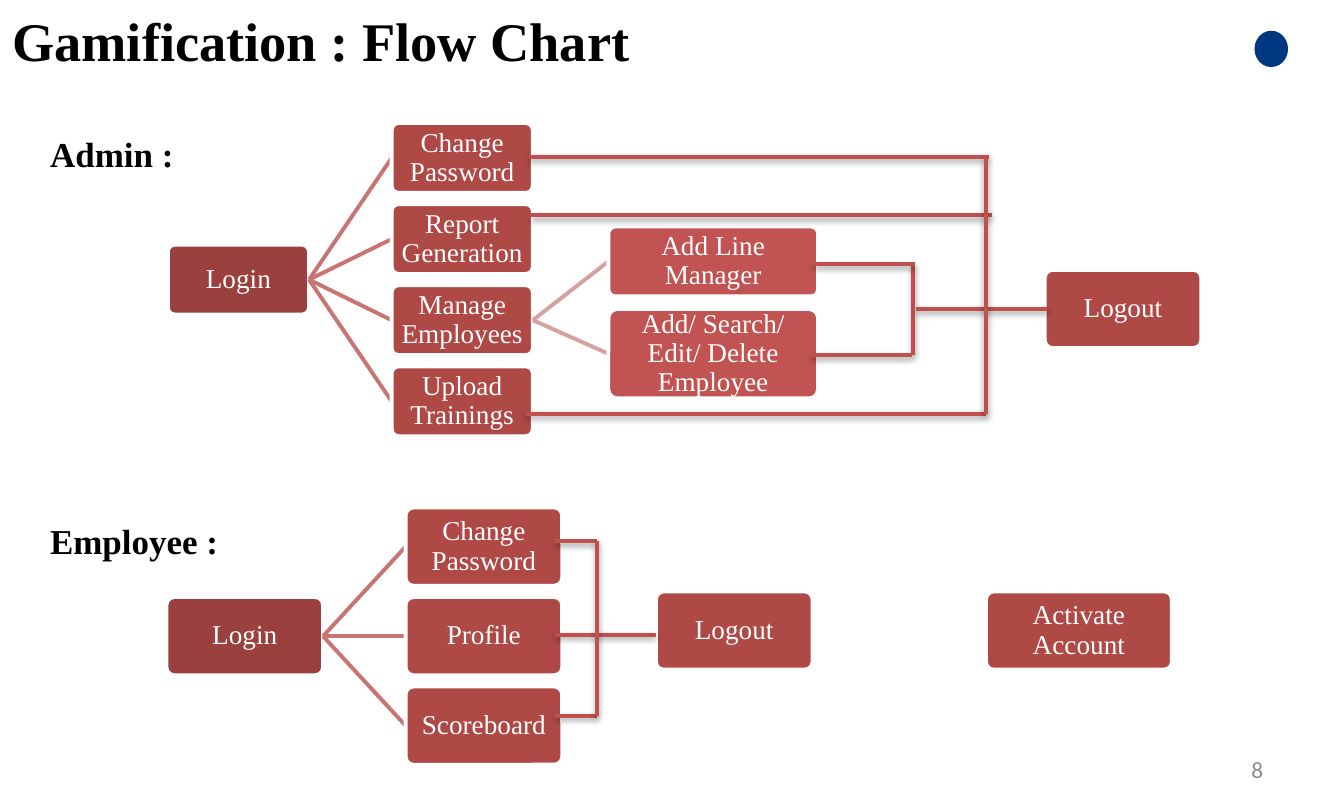
from lxml import etree
from pptx import Presentation
from pptx.dml.color import RGBColor
from pptx.enum.shapes import MSO_CONNECTOR, MSO_SHAPE
from pptx.enum.text import MSO_ANCHOR, PP_ALIGN
from pptx.oxml.ns import qn
from pptx.util import Pt

PX = 9144  # 100 px to the inch
STRAIGHT = MSO_CONNECTOR.STRAIGHT
ROUNDED, OVAL = MSO_SHAPE.ROUNDED_RECTANGLE, MSO_SHAPE.OVAL
MIDDLE, TOP = MSO_ANCHOR.MIDDLE, MSO_ANCHOR.TOP
LEFT, CENTER, RIGHT = PP_ALIGN.LEFT, PP_ALIGN.CENTER, PP_ALIGN.RIGHT
SERIF, SANS = "Times New Roman", "Calibri"
COLORS = {
    "start": "9A403E", "step": "AE4946", "substep": "C15452",
    "step branch": "C77472", "substep branch": "D5A1A0",
    "route": "C0504D", "emblem": "003781", "shadow": "000000",
    "white": "FFFFFF", "black": "000000", "gray": "8C8C8C",
}


def write(frame, text, size, color, align, anchor, font=SERIF, bold=False):
    frame.word_wrap = True
    frame.vertical_anchor = anchor
    paragraph = frame.paragraphs[0]
    paragraph.alignment = align
    run = paragraph.add_run()
    run.text = text
    run.font.name, run.font.size, run.font.bold = font, Pt(size), bold
    run.font.color.rgb = RGBColor.from_string(COLORS[color])
    return paragraph


def draw_line(x1, y1, x2, y2, color, shadow=False):
    line = slide.shapes.add_connector(STRAIGHT, x1 * PX, y1 * PX, x2 * PX, y2 * PX)
    line.line.color.rgb = RGBColor.from_string(COLORS[color])
    line.line.width = Pt(2)
    effects = etree.SubElement(line._element.spPr, qn("a:effectLst"))
    if shadow:
        outer = etree.SubElement(effects, qn("a:outerShdw"), blurRad="40000",
                                 dist="20000", dir="5400000", rotWithShape="0")
        tint = etree.SubElement(outer, qn("a:srgbClr"), val=COLORS["shadow"])
        etree.SubElement(tint, qn("a:alpha"), val="38000")


prs = Presentation()
prs.slide_width, prs.slide_height = 961 * PX, 575 * PX
slide = prs.slides.add_slide(prs.slide_layouts[6])

# Plain emblem in the corner
emblem = slide.shapes.add_shape(OVAL, 897 * PX, 22 * PX, 24 * PX, 26 * PX)
emblem.shadow.inherit = False
emblem.fill.solid()
emblem.fill.fore_color.rgb = RGBColor.from_string(COLORS["emblem"])
emblem.line.fill.background()

# Steps: text, level, left, top, width, height, parent step
admin_login = ("Login", "start", 120, 175, 101, 50, None)
employee_login = ("Login", "start", 119, 427, 112, 56, None)
admin_steps = [
    (text, "step", 280, 88 + 58 * row, 101, 50, admin_login)
    for row, text in enumerate(["Change Password", "Report Generation",
                                "Manage Employees", "Upload Trainings"])]
employee_steps = [
    (text, "step", 290, 363 + 64 * row, 112, 56, employee_login)
    for row, text in enumerate(["Change Password", "Profile", "Scoreboard"])]
manage_employees = admin_steps[2]
steps = [
    admin_login, *admin_steps,
    ("Add Line Manager", "substep", 435, 162, 150, 50, manage_employees),
    ("Add/ Search/ Edit/ Delete Employee", "substep", 435, 221, 150, 64, manage_employees),
    employee_login, *employee_steps,
    ("Logout", "step", 747, 193, 112, 56, None),
    ("Logout", "step", 469, 423, 112, 56, None),
    ("Activate Account", "step", 705, 423, 133, 56, None),
]
for text, level, left, top, width, height, parent in steps:
    # Branch from the middle of the parent's right side
    if parent:
        _, _, p_left, p_top, p_width, p_height, _ = parent
        draw_line(p_left + p_width, p_top + p_height // 2,
                  left, top + height // 2, f"{level} branch")
    box = slide.shapes.add_shape(ROUNDED, left * PX, top * PX, width * PX, height * PX)
    box.adjustments[0] = 0.1
    box.shadow.inherit = False
    box.fill.solid()
    box.fill.fore_color.rgb = RGBColor.from_string(COLORS[level])
    box.line.color.rgb = RGBColor.from_string(COLORS["white"])
    box.line.width = Pt(2)
    frame = box.text_frame
    frame.margin_left = frame.margin_right = frame.margin_top = frame.margin_bottom = PX
    write(frame, text, 14, "white", CENTER, MIDDLE).line_spacing = 0.9

# Routes to the logout steps
routes = [
    # Employee
    (397, 454, 469, 454), (397, 387, 427, 387),
    (397, 512, 427, 512), (427, 512, 427, 387),
    # Admin, employee management
    (653, 254, 653, 189), (580, 254, 652, 254),
    (582, 189, 654, 189), (655, 221, 749, 221),
    # Admin, other steps
    (376, 296, 705, 296), (380, 154, 709, 154),
    (378, 112, 707, 112), (705, 296, 705, 112),
]
for route in routes:
    draw_line(*route, "route", shadow=True)

# Title, section labels and page number
labels = [
    ("Gamification : Flow Chart", -1, 0, 507, 57, 28, "black", LEFT, TOP, SERIF, True),
    ("Admin :", 26, 90, 125, 40, 18, "black", LEFT, TOP, SERIF, True),
    ("Employee :", 26, 367, 154, 40, 18, "black", LEFT, TOP, SERIF, True),
    ("8", 872, 537, 41, 26, 12, "gray", RIGHT, MIDDLE, SANS, False),
]
for text, left, top, width, height, *style in labels:
    label = slide.shapes.add_textbox(left * PX, top * PX, width * PX, height * PX)
    write(label.text_frame, text, *style)

prs.save("out.pptx")
